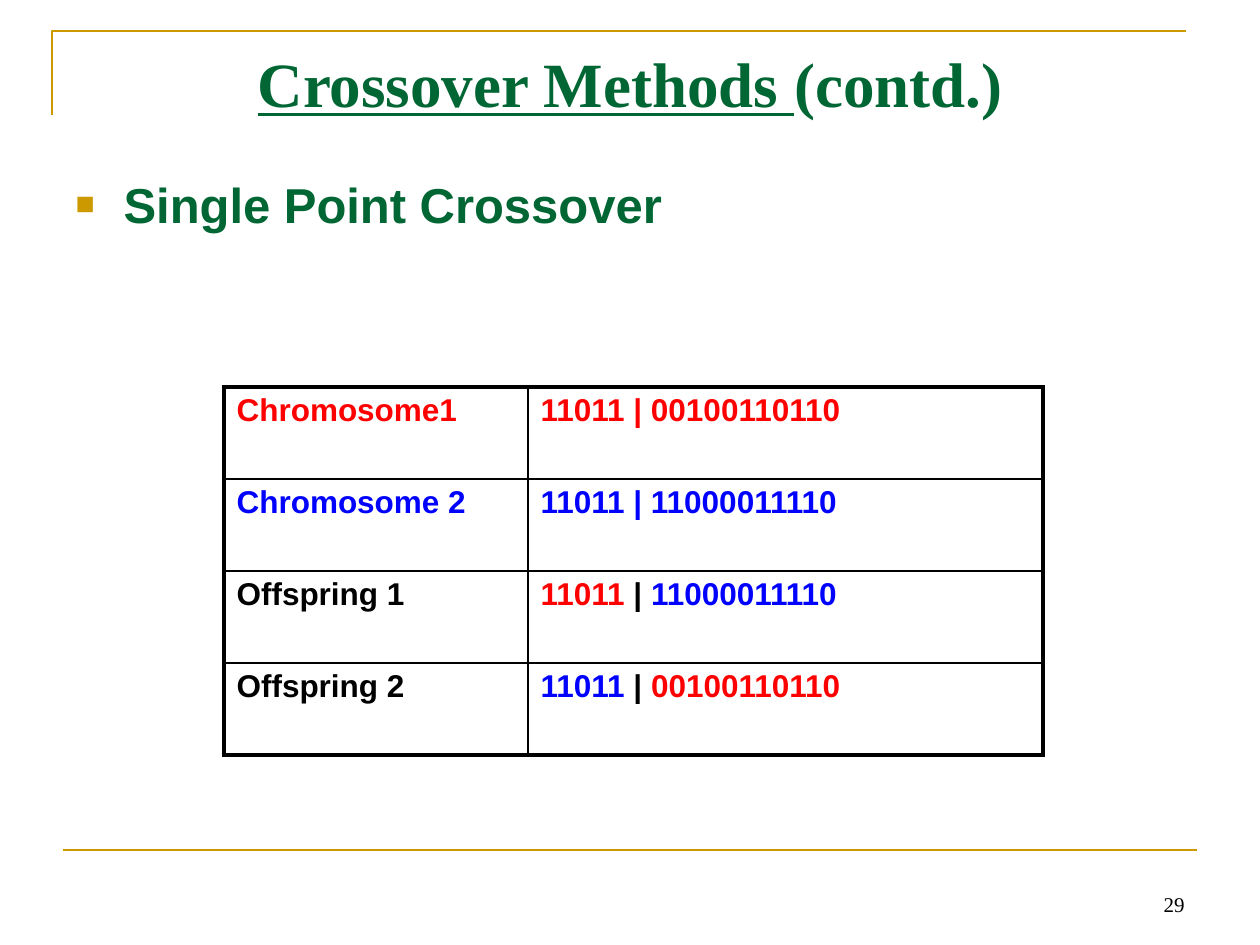
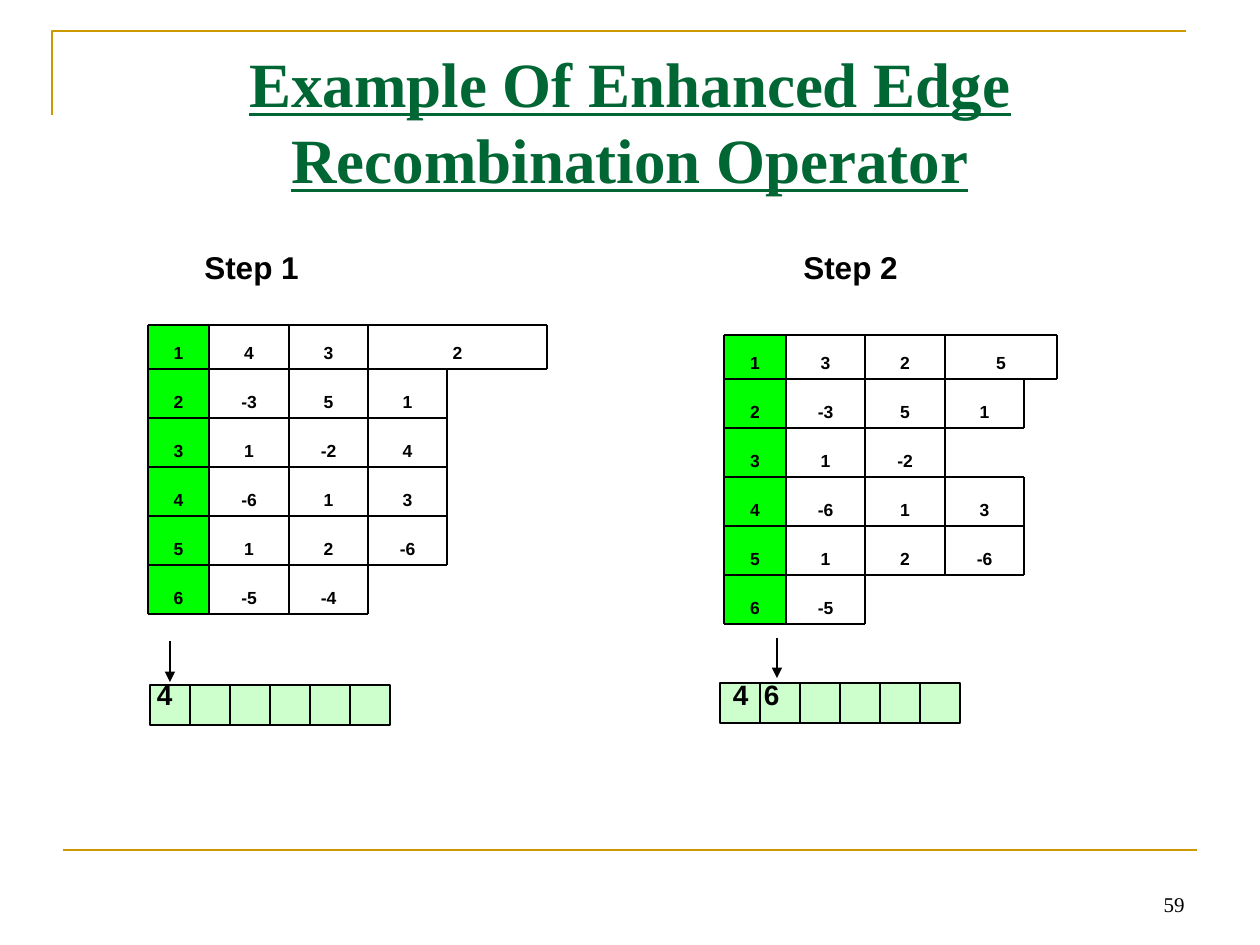
from lxml import etree
from pptx import Presentation
from pptx.dml.color import RGBColor
from pptx.enum.shapes import MSO_CONNECTOR, MSO_SHAPE
from pptx.enum.text import MSO_ANCHOR, MSO_AUTO_SIZE, PP_ALIGN
from pptx.oxml import parse_xml
from pptx.oxml.ns import nsdecls, qn
from pptx.util import Pt

PX = 914400 / 126
GOLD = RGBColor(0xCC, 0x99, 0x00)
GREEN = RGBColor(0x00, 0x66, 0x33)
LIME = RGBColor(0x00, 0xFF, 0x00)
MINT = RGBColor(0xCC, 0xFF, 0xCC)
RED = RGBColor(0xFF, 0x00, 0x00)
BLUE = RGBColor(0x00, 0x00, 0xFF)
BLACK = RGBColor(0x00, 0x00, 0x00)
SANS, SERIF = "Arial", "Times New Roman"
CENTER, RIGHT = PP_ALIGN.CENTER, PP_ALIGN.RIGHT
TOP, BOTTOM = MSO_ANCHOR.TOP, MSO_ANCHOR.BOTTOM
NO_AUTOFIT = MSO_AUTO_SIZE.NONE
RECTANGLE, STRAIGHT = MSO_SHAPE.RECTANGLE, MSO_CONNECTOR.STRAIGHT


def px(*lengths):
    """Turn pixel lengths into a list of EMU values."""
    return [round(length * PX) for length in lengths]


def write(paragraph, text, color, **font_format):
    """Append a bold Arial run, with font attributes overridden by font_format."""
    run = paragraph.add_run()
    run.text = text
    run.font.color.rgb = color
    for name, value in {"name": SANS, "bold": True, **font_format}.items():
        setattr(run.font, name, value)


prs = Presentation()
prs.slide_width, prs.slide_height = px(1260, 945)
crossover = prs.slides.add_slide(prs.slide_layouts[1])
recombination = prs.slides.add_slide(prs.slide_layouts[5])

# Gold frame, shared through the slide master
builder = crossover.shapes.build_freeform(*px(52, 115))
builder.add_line_segments([px(52, 31), px(1186, 31)], close=False)
corner = builder.convert_to_shape()
corner.fill.background()
corner.shadow.inherit = False
footer_rule = crossover.shapes.add_connector(STRAIGHT, *px(63, 850, 1197, 850))
etree.SubElement(footer_rule._element.spPr, qn("a:effectLst"))
for rule in (corner, footer_rule):
    rule.line.color.rgb = GOLD
    rule.line.width = Pt(1.5)
    prs.slide_master.shapes.element.append(rule._element)

# Titles and page numbers
headings = [
    (crossover, 88, [("Crossover Methods ", True), ("(contd.)", False)], "29"),
    (recombination, 157, [("Example Of Enhanced Edge Recombination Operator", True)], "59"),
]
for slide, title_height, title_parts, page in headings:
    title = slide.shapes.title
    title.left, title.top, title.width, title.height = px(63, 38, 1134, title_height)
    frame = title.text_frame
    frame.auto_size, frame.vertical_anchor, frame.word_wrap = NO_AUTOFIT, TOP, True
    heading = frame.paragraphs[0]
    heading.alignment = CENTER
    heading.line_spacing = Pt(43.4)
    for text, underlined in title_parts:
        write(heading, text, GREEN, name=SERIF, size=Pt(36), underline=underlined)

    frame = slide.shapes.add_textbox(*px(903, 860, 294, 63)).text_frame
    frame.word_wrap, frame.vertical_anchor = True, BOTTOM
    frame.paragraphs[0].alignment = RIGHT
    write(frame.paragraphs[0], page, BLACK, name=SERIF, size=Pt(12), bold=False)

# Single point crossover: bullet
body = crossover.placeholders[1]
body.left, body.top, body.width, body.height = px(63, 168, 1134, 676)
body.text_frame.auto_size = NO_AUTOFIT
method = body.text_frame.paragraphs[0]
method.space_before = Pt(0)
indent = px(48)[0]
bullet = method._p.get_or_add_pPr()
bullet.set("marL", str(indent))
bullet.set("indent", str(-indent))
for xml in (f'<a:buClr {nsdecls("a")}><a:srgbClr val="{GOLD}"/></a:buClr>',
            f'<a:buSzPct {nsdecls("a")} val="65000"/>',
            f'<a:buFont {nsdecls("a")} typeface="{SANS}"/>',
            f'<a:buChar {nsdecls("a")} char="■"/>'):
    bullet.append(parse_xml(xml))
write(method, "Single Point Crossover", GREEN, size=Pt(28))

# Single point crossover: parents and offspring
FIRST_TAIL, SECOND_TAIL = "00100110110", "11000011110"
chromosomes = [
    ("Chromosome1", RED, [("11011 | " + FIRST_TAIL, RED)]),
    ("Chromosome 2", BLUE, [("11011 | " + SECOND_TAIL, BLUE)]),
    ("Offspring 1", BLACK, [("11011 ", RED), ("| ", BLACK), (SECOND_TAIL, BLUE)]),
    ("Offspring 2", BLACK, [("11011 ", BLUE), ("| ", BLACK), (FIRST_TAIL, RED)]),
]
genes = crossover.shapes.add_table(len(chromosomes), 2, *px(224, 387, 819, 368)).table
genes.first_row = genes.horz_banding = False
genes.columns[0].width, genes.columns[1].width = px(304, 515)
last_row = len(chromosomes) - 1
for r, (name, name_color, bits) in enumerate(chromosomes):
    genes.rows[r].height = px(92)[0]
    for c, parts in enumerate([[(name, name_color)], bits]):
        cell = genes.cell(r, c)
        cell.fill.background()
        for text, color in parts:
            write(cell.text_frame.paragraphs[0], text, color, size=Pt(18))
        outer_edges = {"L": c == 0, "R": c == 1, "T": r == 0, "B": r == last_row}
        for position, (side, outer) in enumerate(outer_edges.items()):
            width = Pt(2.25 if outer else 1)
            cell._tc.get_or_add_tcPr().insert(position, parse_xml(
                f'<a:ln{side} {nsdecls("a")} w="{width}"><a:solidFill>'
                f'<a:srgbClr val="{BLACK}"/></a:solidFill></a:ln{side}>'))

# Edge recombination: edge lists, and the tour built so far
FIRST_ROW, ROW, SLOT = 44, 49, 40
steps = [
    {"name": "Step 1", "name_left": 136, "top": 325,
     "columns": [148, 209, 289, 368, 447], "first_row_right": 547,
     "edges": [[1, 4, 3, 2, 5], [2, -3, 5, 1], [3, 1, -2, 4],
               [4, -6, 1, 3], [5, 1, 2, -6], [6, -5, -4]],
     "tour_left": 150, "tour_top": 685, "arrow": (170, 641, 170, 682),
     "visited": [("4", 157)]},
    {"name": "Step 2", "name_left": 735, "top": 335,
     "columns": [724, 786, 865, 945, 1024], "first_row_right": 1057,
     "edges": [[1, 3, 2, 5], [2, -3, 5, 1], [3, 1, -2],
               [4, -6, 1, 3], [5, 1, 2, -6], [6, -5]],
     "tour_left": 720, "tour_top": 683, "arrow": (777, 638, 777, 678),
     "visited": [("4", 733), ("6", 764)]},
]
shapes = recombination.shapes
for step in steps:
    frame = shapes.add_textbox(*px(step["name_left"], 242, 231, 50)).text_frame
    frame.word_wrap = True
    frame.paragraphs[0].alignment = CENTER
    write(frame.paragraphs[0], step["name"], BLACK, size=Pt(18))

    row_count = len(step["edges"])
    row_tops = [step["top"]] + [step["top"] + FIRST_ROW + i * ROW for i in range(row_count)]
    row_rights = []
    vertical_spans = {}
    for r, cities in enumerate(step["edges"]):
        top, bottom = row_tops[r:r + 2]
        borders = step["columns"][:len(cities) + 1]
        if r == 0:
            borders[-1] = step["first_row_right"]
        row_rights.append(borders[-1])
        for x in borders:
            spans = vertical_spans.setdefault(x, [])
            if spans and spans[-1][1] == top:
                spans[-1][1] = bottom
            else:
                spans.append([top, bottom])
        for c, (city, left, right) in enumerate(zip(cities, borders, borders[1:])):
            city_cell = shapes.add_textbox(*px(left, top, right - left, bottom - top))
            if c == 0:
                city_cell.fill.solid()
                city_cell.fill.fore_color.rgb = LIME
            frame = city_cell.text_frame
            frame.word_wrap, frame.vertical_anchor = True, BOTTOM
            frame.paragraphs[0].alignment = CENTER
            write(frame.paragraphs[0], str(city), BLACK, size=Pt(10))

    # Each horizontal rule spans the longer of the rows above and below it
    grid_left = step["columns"][0]
    rules = [(grid_left, y, max(row_rights[max(i - 1, 0):i + 1]), y)
             for i, y in enumerate(row_tops)]
    rules += [(x, top, x, bottom)
              for x, spans in vertical_spans.items() for top, bottom in spans]
    for ends in rules + [step["arrow"]]:
        is_arrow = ends == step["arrow"]
        connector = shapes.add_connector(STRAIGHT, *px(*ends))
        connector.line.color.rgb = BLACK
        connector.line.width = Pt(0.75 if is_arrow else 1)
        if is_arrow:
            etree.SubElement(connector.line._get_or_add_ln(), qn("a:tailEnd"), type="triangle")
        etree.SubElement(connector._element.spPr, qn("a:effectLst"))

    for i in range(row_count):
        slot = shapes.add_shape(
            RECTANGLE, *px(step["tour_left"] + i * SLOT, step["tour_top"], SLOT, SLOT))
        slot.shadow.inherit = False
        slot.fill.solid()
        slot.fill.fore_color.rgb = MINT
        slot.line.color.rgb = BLACK
        slot.line.width = Pt(1)

    for city, left in step["visited"]:
        frame = shapes.add_textbox(*px(left, 671, SLOT, 61)).text_frame
        frame.word_wrap = True
        frame.margin_left = frame.margin_right = 0
        write(frame.paragraphs[0], city, BLACK, size=Pt(16))

prs.save("out.pptx")
